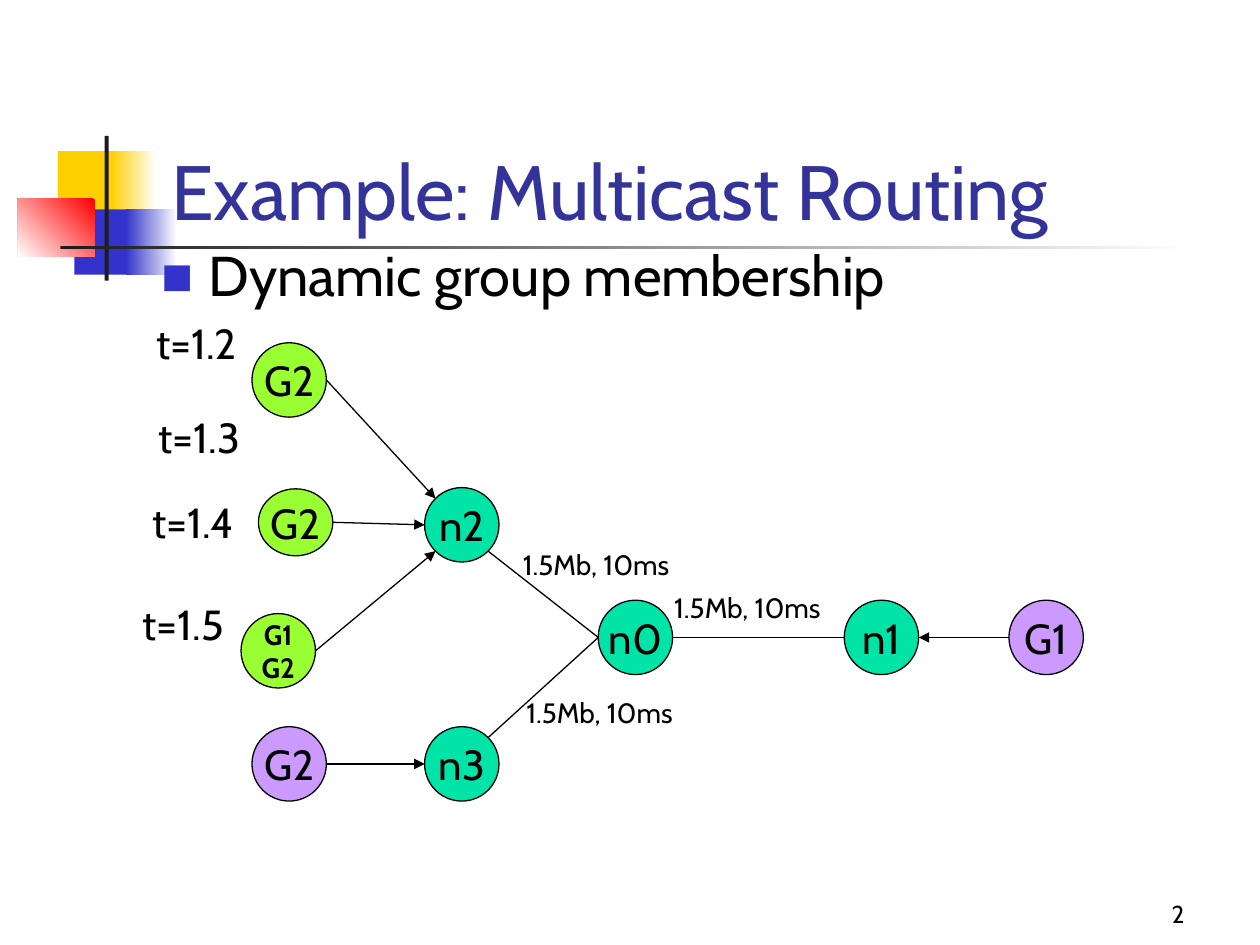
import math

from lxml import etree
from pptx import Presentation
from pptx.dml.color import RGBColor
from pptx.enum import shapes, text
from pptx.oxml import ns
from pptx.util import Cm, Pt

FONT = "Cabin"
BLACK = RGBColor(0x00, 0x00, 0x00)
WHITE = RGBColor(0xFF, 0xFF, 0xFF)
CHARCOAL = RGBColor(0x1C, 0x1C, 0x1C)
YELLOW = RGBColor(0xFF, 0xCF, 0x01)
BLUE = RGBColor(0x33, 0x33, 0xCC)
RED = RGBColor(0xFF, 0x00, 0x00)
TITLE_BLUE = RGBColor(0x33, 0x33, 0x99)
ROUTER_GREEN = RGBColor(0x00, 0xE4, 0xA8)
JOINING_LIME = RGBColor(0x99, 0xFF, 0x33)
MEMBER_PURPLE = RGBColor(0xCC, 0x99, 0xFF)

NODE_SIZE = 1.5
RIGHT, LOWER_RIGHT, LOWER_LEFT, LEFT, UPPER_LEFT = 0, 45, 135, 180, 225


def format_text(frame, size, color=BLACK, align=text.PP_ALIGN.LEFT, bold=False):
    for paragraph in frame.paragraphs:
        paragraph.alignment = align
        for run in paragraph.runs:
            run.font.name = FONT
            run.font.size = Pt(size)
            run.font.bold = bold
            run.font.color.rgb = color


def place(shape, left, top, width, height):
    shape.left, shape.top = Cm(left), Cm(top)
    shape.width, shape.height = Cm(width), Cm(height)


def add_block(slide, box, color, fade_angle=None):
    """Add a borderless rectangle, fading to white if an angle is given."""
    block = slide.shapes.add_shape(shapes.MSO_SHAPE.RECTANGLE, *map(Cm, box))
    block.shadow.inherit = False
    block.line.fill.background()
    if fade_angle is None:
        block.fill.solid()
        block.fill.fore_color.rgb = color
        return
    block.fill.gradient()
    block.fill.gradient_angle = fade_angle
    for stop, stop_color in zip(block.fill.gradient_stops, (color, WHITE)):
        stop.color.rgb = stop_color


def add_decoration(slide):
    add_block(slide, (1.17, 3.05, 1.22, 1.32), YELLOW)
    add_block(slide, (2.24, 3.05, 0.91, 1.32), YELLOW, 0)
    add_block(slide, (1.5, 4.22, 1.17, 1.32), BLUE)
    add_block(slide, (2.54, 4.22, 1.02, 1.32), BLUE, 0)
    add_block(slide, (0.36, 4.01, 1.55, 1.17), RED, 225)
    add_block(slide, (2.11, 2.74, 0.08, 2.92), CHARCOAL)
    add_block(slide, (1.22, 4.95, 22.86, 0.08), CHARCOAL, 0)


def add_bullet(paragraph):
    properties = paragraph._p.get_or_add_pPr()
    properties.set("marL", str(Cm(0.95)))
    properties.set("indent", str(-Cm(0.95)))
    bullet_color = etree.SubElement(properties, ns.qn("a:buClr"))
    etree.SubElement(bullet_color, ns.qn("a:srgbClr"), val=str(BLUE))
    etree.SubElement(properties, ns.qn("a:buSzPct"), val="60000")
    etree.SubElement(properties, ns.qn("a:buFont"), typeface=FONT)
    etree.SubElement(properties, ns.qn("a:buChar"), char="■")


def fill_placeholders(slide):
    title, body = slide.placeholders
    place(title, 3.2, 1.7, 21.64, 3.18)
    title.text_frame.text = "Example: Multicast Routing"
    title.text_frame.vertical_anchor = text.MSO_ANCHOR.BOTTOM
    format_text(title.text_frame, 44, TITLE_BLUE)

    place(body, 3, 4.88, 21.59, 1.57)
    body.text_frame.text = "Dynamic group membership"
    topic = body.text_frame.paragraphs[0]
    add_bullet(topic)
    topic.line_spacing = 0.9
    topic.space_before = Pt(0)
    format_text(body.text_frame, 32)

    for placeholder in (title, body):
        placeholder.text_frame.auto_size = text.MSO_AUTO_SIZE.NONE
        # Bring the wording in front of the decoration.
        slide.shapes.element.append(placeholder.element)


def add_node(slide, center_x, center_y, label, color, size=24, height=NODE_SIZE):
    node = slide.shapes.add_shape(
        shapes.MSO_SHAPE.OVAL,
        Cm(center_x - NODE_SIZE / 2), Cm(center_y - height / 2),
        Cm(NODE_SIZE), Cm(height))
    node.shadow.inherit = False
    node.fill.solid()
    node.fill.fore_color.rgb = color
    node.line.color.rgb = BLACK
    node.line.width = Pt(0.75)
    node.text_frame.text = label
    node.text_frame.word_wrap = False
    node.text_frame.vertical_anchor = text.MSO_ANCHOR.MIDDLE
    format_text(node.text_frame, size, align=text.PP_ALIGN.CENTER, bold=size < 24)
    return node


def rim(node, degrees):
    """Return the point on a node's outline, clockwise from its right side."""
    angle = math.radians(degrees)
    return (int(node.left + node.width / 2 * (1 + math.cos(angle))),
            int(node.top + node.height / 2 * (1 + math.sin(angle))))


def add_link(slide, start, start_side, end, end_side, arrow=False):
    link = slide.shapes.add_connector(
        shapes.MSO_CONNECTOR.STRAIGHT, *rim(start, start_side), *rim(end, end_side))
    link.line.color.rgb = BLACK
    link.line.width = Pt(0.75)
    if arrow:
        etree.SubElement(link.line._get_or_add_ln(), ns.qn("a:tailEnd"), type="triangle")
    etree.SubElement(link.element.spPr, ns.qn("a:effectLst"))


def add_label(slide, wording, box, size, align=text.PP_ALIGN.LEFT):
    label = slide.shapes.add_textbox(*map(Cm, box))
    label.text_frame.text = wording
    label.text_frame.word_wrap = False
    format_text(label.text_frame, size, align=align)
    return label


def add_network(slide):
    n0 = add_node(slide, 12.81, 12.85, "n0", ROUTER_GREEN)
    n1 = add_node(slide, 17.77, 12.85, "n1", ROUTER_GREEN)
    n2 = add_node(slide, 9.31, 10.58, "n2", ROUTER_GREEN)
    n3 = add_node(slide, 9.31, 15.4, "n3", ROUTER_GREEN)
    add_link(slide, n0, RIGHT, n1, LEFT)
    add_link(slide, n0, LEFT, n2, LOWER_RIGHT)
    add_link(slide, n0, LEFT, n3, -LOWER_RIGHT)

    source_g1 = add_node(slide, 21.09, 12.85, "G1", MEMBER_PURPLE)
    source_g2 = add_node(slide, 5.83, 15.4, "G2", MEMBER_PURPLE)
    add_link(slide, source_g1, LEFT, n1, RIGHT, arrow=True)
    add_link(slide, source_g2, RIGHT, n3, LEFT, arrow=True)

    join_12 = add_node(slide, 5.83, 7.66, "G2", JOINING_LIME)
    join_14 = add_node(slide, 5.96, 10.53, "G2", JOINING_LIME, height=1.35)
    join_15 = add_node(slide, 5.61, 13.12, "G1\nG2", JOINING_LIME, size=16)
    for member, side in ((join_12, UPPER_LEFT), (join_14, LEFT), (join_15, LOWER_LEFT)):
        add_link(slide, member, RIGHT, n2, side, arrow=True)


def add_annotations(slide):
    for time, left, top in (("t=1.2", 2.9, 6.27), ("t=1.3", 2.95, 8.18),
                            ("t=1.4", 2.82, 9.88), ("t=1.5", 2.62, 11.94)):
        add_label(slide, time, (left, top, 2.49, 1.27), 24)
    for left, top in ((10.29, 10.92), (13.34, 11.79), (10.36, 13.89)):
        add_label(slide, "1.5Mb, 10ms", (left, top, 3.89, 0.94), 16)
    number = add_label(slide, "2", (18.85, 17.58, 5.28, 1.27), 14, text.PP_ALIGN.RIGHT)
    number.text_frame.word_wrap = True
    number.text_frame.vertical_anchor = text.MSO_ANCHOR.BOTTOM


def main():
    deck = Presentation()
    deck.slide_width, deck.slide_height = Cm(25.4), Cm(19.05)
    slide = deck.slides.add_slide(deck.slide_layouts[1])
    add_decoration(slide)
    fill_placeholders(slide)
    add_network(slide)
    add_annotations(slide)
    deck.save("out.pptx")


if __name__ == "__main__":
    main()
